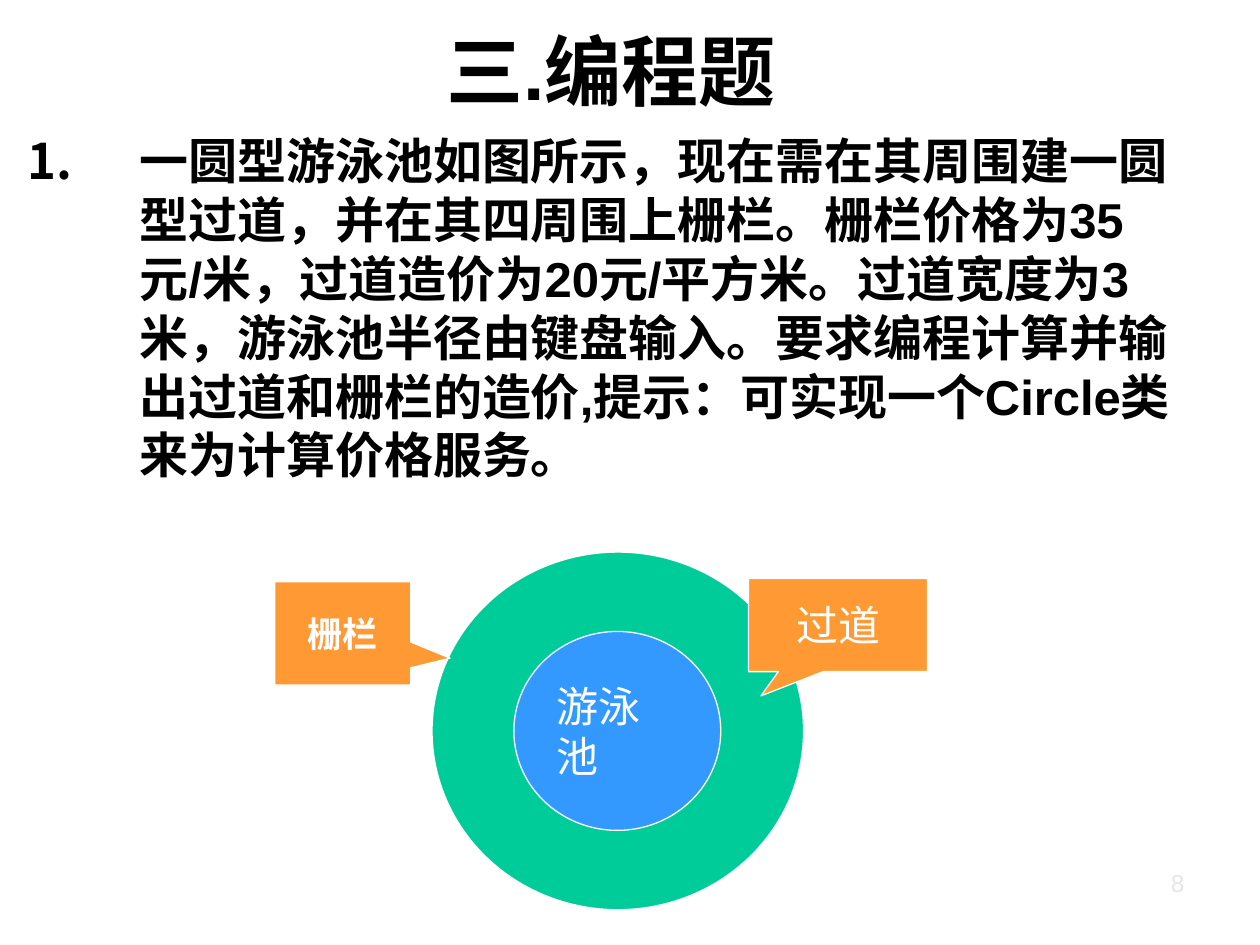
from lxml.etree import SubElement
from pptx import Presentation
from pptx.dml.color import RGBColor
from pptx.enum.shapes import MSO_SHAPE as Shape
from pptx.enum.text import MSO_ANCHOR as Anchor, MSO_AUTO_SIZE as AutoSize, PP_ALIGN as Align
from pptx.oxml.ns import qn
from pptx.util import Cm, Pt

BLACK = RGBColor(0x00, 0x00, 0x00)
WHITE = RGBColor(0xFF, 0xFF, 0xFF)
PALE_GREY = RGBColor(0xE6, 0xE6, 0xE6)
GREEN = RGBColor(0x00, 0xCC, 0x99)
BLUE = RGBColor(0x33, 0x99, 0xFF)
ORANGE = RGBColor(0xFF, 0x99, 0x33)

QUESTION = (
    "一圆型游泳池如图所示，现在需在其周围建一圆型过道，并在其四周围上栅栏。"
    "栅栏价格为35元/米，过道造价为20元/平方米。过道宽度为3米，游泳池半径由键盘输入。"
    "要求编程计算并输出过道和栅栏的造价,提示：可实现一个Circle类来为计算价格服务。"
)


class SlideBuilder:
    heading_font = "Arial"
    label_font = "Times New Roman"
    line_width = Pt(0.75)

    def __init__(self, slide):
        self.slide = slide

    def place(self, shape, left, top, width, height):
        shape.left, shape.top = Cm(left), Cm(top)
        shape.width, shape.height = Cm(width), Cm(height)

    def set_text(self, shape, text, size, color, font, bold=False,
                 align=Align.LEFT, anchor=Anchor.MIDDLE):
        frame = shape.text_frame
        frame.word_wrap = True
        frame.auto_size = AutoSize.NONE
        frame.vertical_anchor = anchor
        frame.text = text
        paragraph = frame.paragraphs[0]
        paragraph.alignment = align
        paragraph.font.name = font
        paragraph.font.size = Pt(size)
        paragraph.font.bold = bold
        paragraph.font.color.rgb = color
        return paragraph

    def title(self, text, *box):
        shape = self.slide.shapes.title
        self.place(shape, *box)
        self.set_text(shape, text, 44, BLACK, self.heading_font, True, Align.CENTER)

    def numbered_body(self, text, *box):
        shape = self.slide.placeholders[1]
        self.place(shape, *box)
        paragraph = self.set_text(shape, text, 28, BLACK, self.heading_font, True,
                                  anchor=Anchor.TOP)
        paragraph.space_before = Pt(7)
        self.number(paragraph, Cm(2.26))

    def number(self, paragraph, indent):
        """Give the paragraph an automatic number with a hanging indent."""
        properties = paragraph._p.get_or_add_pPr()
        properties.set("marL", str(indent))
        properties.set("indent", str(-indent))
        numbering = SubElement(properties, qn("a:buAutoNum"), type="arabicPeriod")
        properties.find(qn("a:defRPr")).addprevious(numbering)

    def shape(self, parent, kind, color, *box):
        shape = parent.shapes.add_shape(kind, *map(Cm, box))
        shape.shadow.inherit = False
        shape.fill.solid()
        shape.fill.fore_color.rgb = color
        shape.line.color.rgb = WHITE
        shape.line.width = self.line_width
        return shape

    def callout(self, parent, text, tip, size, font, bold, *box):
        """Add a callout whose tip is offset from its centre by shares of its size."""
        shape = self.shape(parent, Shape.RECTANGULAR_CALLOUT, ORANGE, *box)
        shape.adjustments[0], shape.adjustments[1] = tip
        self.set_text(shape, text, size, WHITE, font, bold, Align.CENTER)

    def page_number(self, text, *box):
        shape = self.slide.shapes.add_textbox(*map(Cm, box))
        self.set_text(shape, text, 14, PALE_GREY, self.heading_font, align=Align.RIGHT)


def main():
    presentation = Presentation()
    presentation.slide_width, presentation.slide_height = Cm(25.4), Cm(19.05)
    slide = presentation.slides.add_slide(presentation.slide_layouts[1])
    builder = SlideBuilder(slide)

    builder.title("三.编程题", 0.89, 0.33, 22.86, 2.16)
    builder.numbered_body(QUESTION, 0.3, 2.51, 23.6, 9.98)

    pool_plan = slide.shapes.add_group_shape()
    builder.shape(pool_plan, Shape.OVAL, GREEN, 8.71, 11.13, 7.49, 7.21)
    pool = builder.shape(pool_plan, Shape.OVAL, BLUE, 10.36, 12.73, 4.17, 4.01)
    builder.set_text(pool, "游泳池", 24, WHITE, builder.label_font)
    builder.callout(pool_plan, "过道", (-0.43, 0.76), 24, builder.label_font, False,
                    15.09, 11.66, 3.61, 1.88)
    builder.callout(slide, "栅栏", (0.79, 0.24), 20, "DejaVu Sans", True,
                    5.54, 11.73, 2.74, 2.08)

    builder.page_number("8", 18.2, 17.2, 5.93, 1.2)
    presentation.save("out.pptx")


if __name__ == "__main__":
    main()
